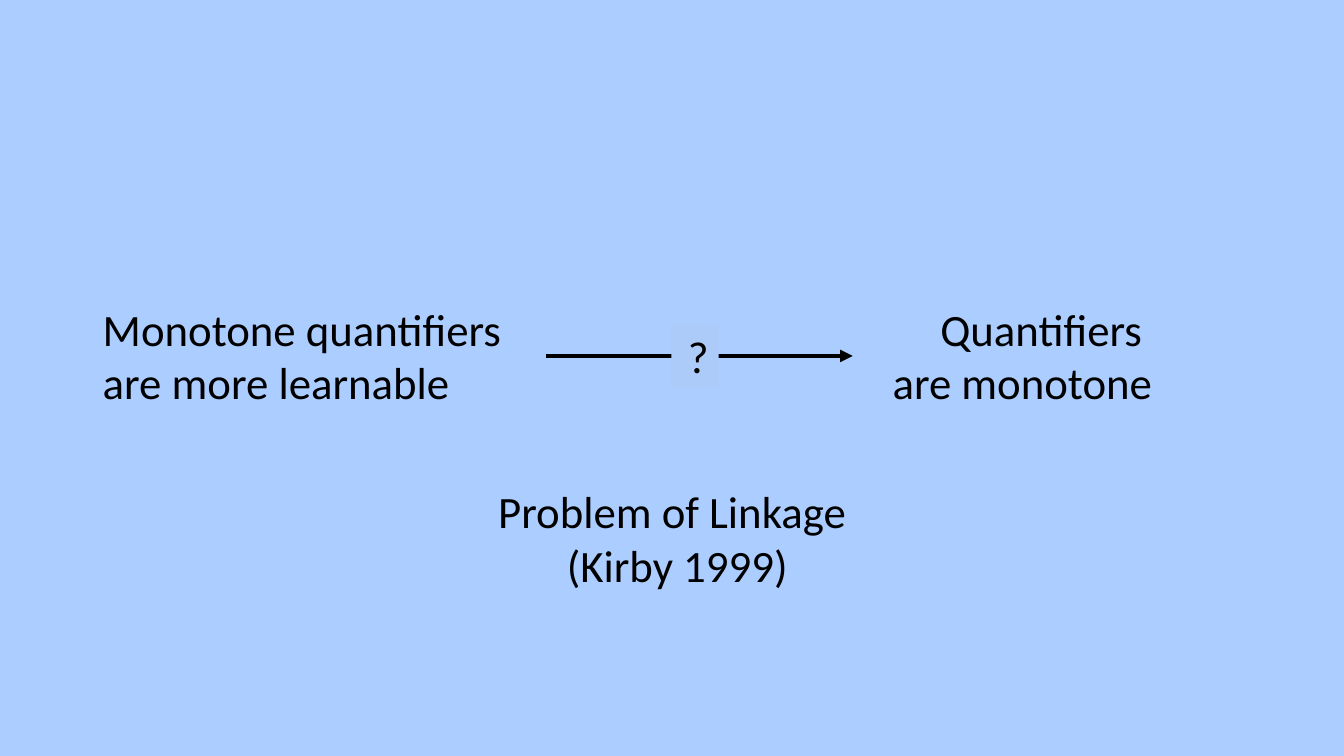
from dataclasses import dataclass

from lxml.etree import SubElement
from pptx import Presentation
from pptx.dml.color import RGBColor
from pptx.enum.shapes import MSO_CONNECTOR, MSO_SHAPE
from pptx.enum.text import MSO_ANCHOR, PP_ALIGN
from pptx.oxml.ns import qn
from pptx.util import Cm, Pt


@dataclass(frozen=True)
class Theme:
    background: RGBColor = RGBColor(0xAC, 0xCD, 0xFF)
    badge: RGBColor = RGBColor(0xAC, 0xCB, 0xF9)
    ink: RGBColor = RGBColor(0, 0, 0)
    font: str = "Calibri"
    text_size: Pt = Pt(32)
    arrow_width: Pt = Pt(3)


THEME = Theme()


def write(frame, wording, align):
    frame.word_wrap = True
    frame.text = wording
    for paragraph in frame.paragraphs:
        paragraph.alignment = align
        for run in paragraph.runs:
            run.font.name = THEME.font
            run.font.size = THEME.text_size
            run.font.color.rgb = THEME.ink


def add_statement(slide, wording, align, left, top, width, height):
    statement = slide.shapes.add_textbox(Cm(left), Cm(top), Cm(width), Cm(height))
    write(statement.text_frame, wording, align)


def add_arrow(slide, start, end, y):
    arrow = slide.shapes.add_connector(
        MSO_CONNECTOR.STRAIGHT, Cm(start), Cm(y), Cm(end), Cm(y))
    arrow.line.color.rgb = THEME.ink
    arrow.line.width = THEME.arrow_width
    properties = arrow.line._get_or_add_ln()
    SubElement(properties, qn("a:tailEnd"), type="triangle")
    SubElement(arrow._element.spPr, qn("a:effectLst"))


def add_question(slide, left, middle, width, height):
    question = slide.shapes.add_shape(
        MSO_SHAPE.RECTANGLE, Cm(left), Cm(middle - height / 2), Cm(width), Cm(height))
    question.shadow.inherit = False
    question.fill.solid()
    question.fill.fore_color.rgb = THEME.badge
    question.line.fill.background()
    write(question.text_frame, "?", PP_ALIGN.RIGHT)
    question.text_frame.vertical_anchor = MSO_ANCHOR.TOP


def add_implication(slide, left, top, width, height):
    """Place premise, questioned arrow and conclusion in one row."""
    middle = top + height / 2
    conclusion_width = 8
    add_statement(slide, "Monotone quantifiers\nare more learnable", PP_ALIGN.LEFT,
                  left, top, 10.82, height)
    add_arrow(slide, left + 11.43, left + 19.15, middle)
    add_statement(slide, "Quantifiers \nare monotone", PP_ALIGN.RIGHT,
                  left + width - conclusion_width, top, conclusion_width, height)
    add_question(slide, left + 14.58, middle, 1.19, 1.63)


def main():
    deck = Presentation()
    deck.slide_width, deck.slide_height = Cm(33.87), Cm(19.05)
    slide = deck.slides.add_slide(deck.slide_layouts[6])
    slide.background.fill.solid()
    slide.background.fill.fore_color.rgb = THEME.background
    add_implication(slide, 2.34, 7.47, 26.95, 3)
    add_statement(slide, "Problem of Linkage \n(Kirby 1999)", PP_ALIGN.CENTER,
                  11.66, 12.07, 10.82, 3)
    deck.save("out.pptx")


if __name__ == "__main__":
    main()
